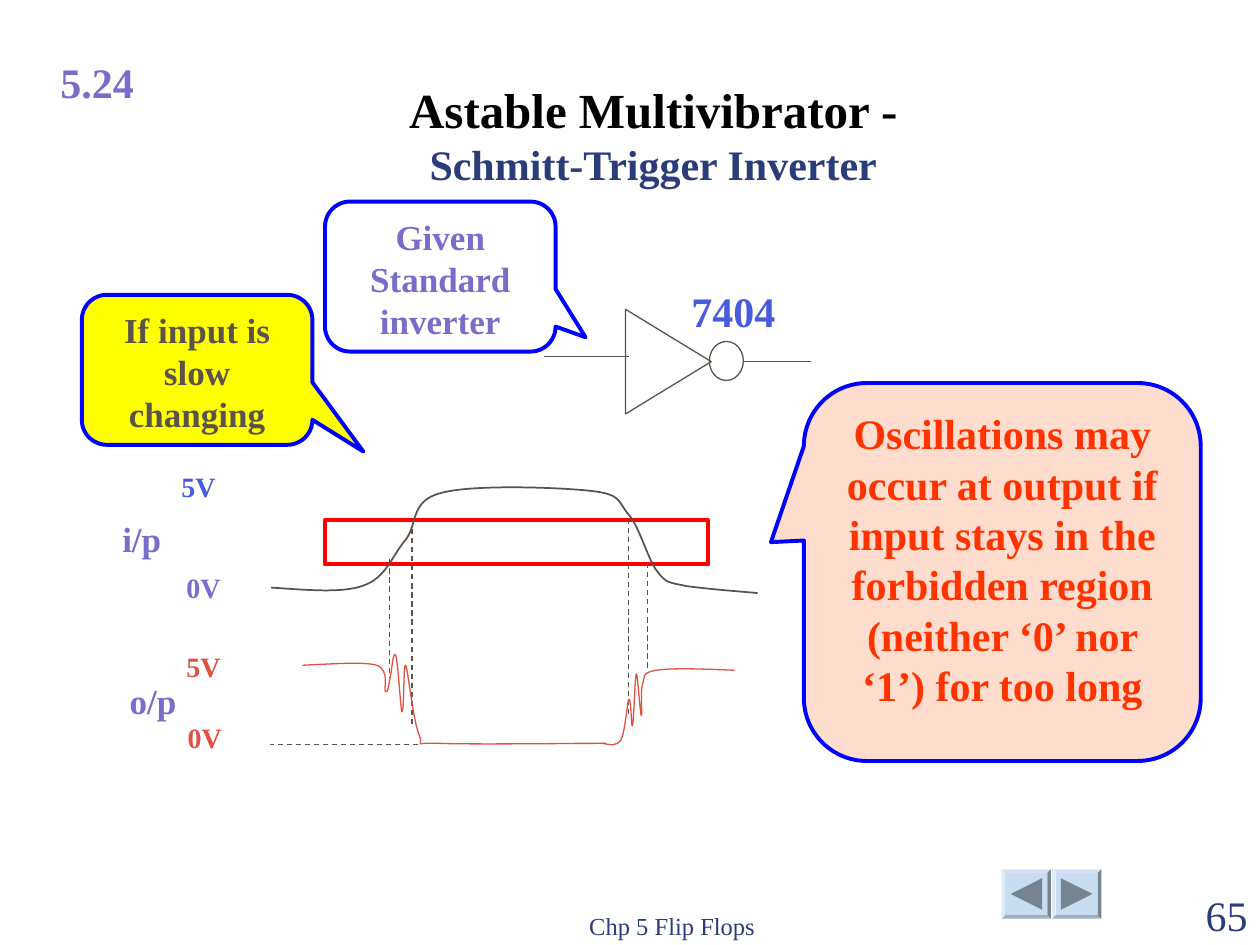
from pptx import Presentation
from pptx.dml.color import RGBColor
from pptx.enum.dml import MSO_LINE
from pptx.enum.shapes import MSO_CONNECTOR, MSO_SHAPE as Shape
from pptx.enum.text import MSO_ANCHOR as Anchor, PP_ALIGN as Align
from pptx.oxml.ns import qn
from pptx.util import Inches, Pt
from lxml.etree import SubElement

FONT = "Times New Roman"
CELL = Inches(1)  # the slide is a grid of 10 columns by 7.5 rows
COLORS = {
    "ink": "5B5249", "violet": "786DCB", "blue": "495BDD", "navy": "2A3D7A",
    "black": "000000", "signal": "E15045", "alert": "FF3300", "red": "FF0000",
    "edge": "0000FF", "yellow": "FFFF00", "peach": "FEDCCE",
    "button": "C9DDF1", "arrow": "768590",
}

# Bezier waves in hundredths of a cell: a start, then three points per curve
INPUT_WAVE = [
    (215, 465), (243, 467), (271, 470), (288, 464), (306, 458), (311, 441), (321, 429),
    (332, 417), (325, 397), (350, 391), (374, 384), (444, 387), (469, 390),
    (494, 393), (490, 398), (499, 409), (508, 419), (514, 445), (522, 455),
    (529, 464), (531, 463), (544, 466), (557, 468), (579, 470), (601, 472),
]
FALLING_WAVE = [
    (240, 528), (264, 527), (288, 525), (299, 528), (310, 532), (304, 548), (306, 549),
    (308, 551), (309, 541), (310, 536), (311, 532), (312, 516), (314, 520),
    (316, 525), (318, 564), (319, 565), (321, 566), (320, 525), (322, 528),
    (324, 532), (328, 574), (333, 584), (337, 594), (325, 589), (349, 590),
    (372, 591), (456, 590), (474, 590), (491, 590), (474, 590), (456, 590),
]
RISING_WAVE = [
    (583, 532), (558, 531), (533, 530), (521, 532), (509, 534), (512, 537), (510, 543),
    (508, 549), (510, 569), (509, 568), (508, 567), (506, 533), (505, 535),
    (504, 536), (503, 573), (502, 576), (501, 580), (501, 553), (499, 555),
    (498, 557), (496, 581), (493, 587), (489, 593), (484, 591), (478, 590),
]


def color(name):
    return RGBColor.from_string(COLORS[name])


def cells(*lengths):
    return [round(length * CELL) for length in lengths]


def style(shape, fill=None, line=None, width=0.75):
    shape.shadow.inherit = False
    if fill:
        shape.fill.solid()
        shape.fill.fore_color.rgb = color(fill)
    else:
        shape.fill.background()
    if line:
        shape.line.color.rgb = color(line)
        shape.line.width = Pt(width)
    else:
        shape.line.fill.background()


def write(shape, spans, align=Align.CENTER, bold=True, anchor=Anchor.TOP, wrap=True):
    """Fill a shape with one paragraph of (text, size, colour) spans."""
    frame = shape.text_frame
    frame.word_wrap = wrap
    frame.vertical_anchor = anchor
    para = frame.paragraphs[0]
    para.alignment = align
    for text, size, name in spans:
        span = para.add_run()
        span.text = text
        span.font.name = FONT
        span.font.size = Pt(size)
        span.font.bold = bold
        span.font.color.rgb = color(name)


def add_text(page, place, spans, **options):
    write(page.shapes.add_textbox(*cells(*place)), spans, **options)


def add_shape(page, kind, place, rotation=0, **look):
    shape = page.shapes.add_shape(kind, *cells(*place))
    shape.rotation = rotation
    style(shape, **look)
    return shape


def add_callout(page, place, tip, fill, span):
    callout = add_shape(page, Shape.ROUNDED_RECTANGULAR_CALLOUT, place,
                        fill=fill, line="edge", width=2.25)
    callout.adjustments[0], callout.adjustments[1] = tip
    write(callout, [span])


def add_line(page, ends, dashed=False):
    line = page.shapes.add_connector(MSO_CONNECTOR.STRAIGHT, *cells(*ends))
    line.line.color.rgb = color("ink")
    line.line.width = Pt(0.75)
    if dashed:
        line.line.dash_style = MSO_LINE.DASH
    SubElement(line._element.spPr, qn("a:effectLst"))


def add_wave(page, points, line, width, rotation=0):
    builder = page.shapes.build_freeform(*points[0], scale=CELL / 100)
    builder.add_line_segments(points[1:], close=False)
    wave = builder.convert_to_shape()
    # Merge each three straight segments into one Bezier curve
    outline = next(wave._element.iter(qn("a:path")))
    segments = outline.findall(qn("a:lnTo"))
    for start in range(0, len(segments), 3):
        curve = SubElement(outline, qn("a:cubicBezTo"))
        for segment in segments[start:start + 3]:
            curve.append(segment[0])
            outline.remove(segment)
    wave.rotation = rotation
    style(wave, line=line, width=width)


def add_button(page, left, rotation):
    top, size, inset = 6.9, 0.39, 0.07
    face = add_shape(page, Shape.BEVEL, (left, top, size, size), fill="button")
    face.adjustments[0] = 0.07
    side = size - 2 * inset
    add_shape(page, Shape.ISOSCELES_TRIANGLE,
              (left + inset, top + inset, side, side), rotation, fill="arrow")


def add_inverter(page):
    add_shape(page, Shape.FLOWCHART_MERGE, (4.89, 2.53, 0.83, 0.68), 270, line="ink")
    add_line(page, (4.99, 2.83, 4.32, 2.83))
    add_line(page, (5.9, 2.87, 6.44, 2.87))
    add_shape(page, Shape.OVAL, (5.63, 2.71, 0.27, 0.31), 1, line="ink")
    add_text(page, (5.32, 2.22, 1, 0.5), [("7404", 24, "blue")], wrap=False)


def add_timing_diagram(page):
    # Threshold crossings and the output's low level
    for x, top, bottom in [(3.09, 4.44, 5.38), (3.27, 4.2, 5.75),
                           (4.99, 4.12, 5.68), (5.14, 4.47, 5.32)]:
        add_line(page, (x, top, x, bottom), dashed=True)
    add_line(page, (3.32, 5.91, 2.14, 5.91), dashed=True)
    # Waves and the forbidden region
    add_wave(page, FALLING_WAVE, "signal", 0.75)
    add_wave(page, RISING_WAVE, "signal", 0.75)
    add_shape(page, Shape.RECTANGLE, (2.58, 4.13, 3.04, 0.35), line="red", width=2.25)
    add_wave(page, INPUT_WAVE, "ink", 1, rotation=-0.4)
    # Voltage levels and signal names
    for text, left, top, name in [("5V", 1.34, 3.68, "blue"), ("0V", 1.38, 4.48, "violet"),
                                  ("5V", 1.38, 5.11, "signal"), ("0V", 1.39, 5.67, "signal")]:
        add_text(page, (left, top, 0.47, 0.37), [(text, 16, name)], wrap=False)
    for text, left, top in [("i/p", 0.77, 4.06), ("o/p", 0.86, 5.34)]:
        add_text(page, (left, top, 0.71, 0.44), [(text, 20, "violet")])


def main():
    deck = Presentation()
    deck.slide_width, deck.slide_height = cells(10, 7.5)
    page = deck.slides.add_slide(deck.slide_layouts[6])

    # Navigation buttons
    add_button(page, 7.95, -90)
    add_button(page, 8.35, 90)

    # Heading
    add_text(page, (0.38, 0.4, 0.78, 0.5), [("5.24", 24, "violet")],
             align=Align.LEFT, wrap=False)
    add_text(page, (2.6, 0.58, 5.17, 0.97),
             [("Astable Multivibrator - ", 28, "black"),
              ("Schmitt-Trigger Inverter", 24, "navy")])

    # Circuit and signals
    add_inverter(page)
    add_timing_diagram(page)

    # Callouts
    add_callout(page, (2.58, 1.6, 1.83, 1.19), (0.63, 0.405), None,
                ("Given Standard inverter", 20, "violet"))
    add_callout(page, (0.65, 2.34, 1.83, 1.19), (0.721, 0.545), "yellow",
                ("If input is slow changing", 20, "ink"))
    add_callout(page, (6.38, 3.04, 3.15, 3), (-0.583, -0.079), "peach",
                ("Oscillations may occur at output if input stays in the forbidden "
                 "region (neither ‘0’ nor ‘1’) for too long", 24, "alert"))

    # Footer
    add_text(page, (3.75, 7.01, 3.17, 0.5), [("Chp 5 Flip Flops", 14, "navy")],
             bold=False, anchor=Anchor.BOTTOM)
    add_text(page, (9, 7.01, 1, 0.5), [("65", 24, "navy")],
             align=Align.RIGHT, bold=False, anchor=Anchor.BOTTOM)

    deck.save("out.pptx")


if __name__ == "__main__":
    main()
